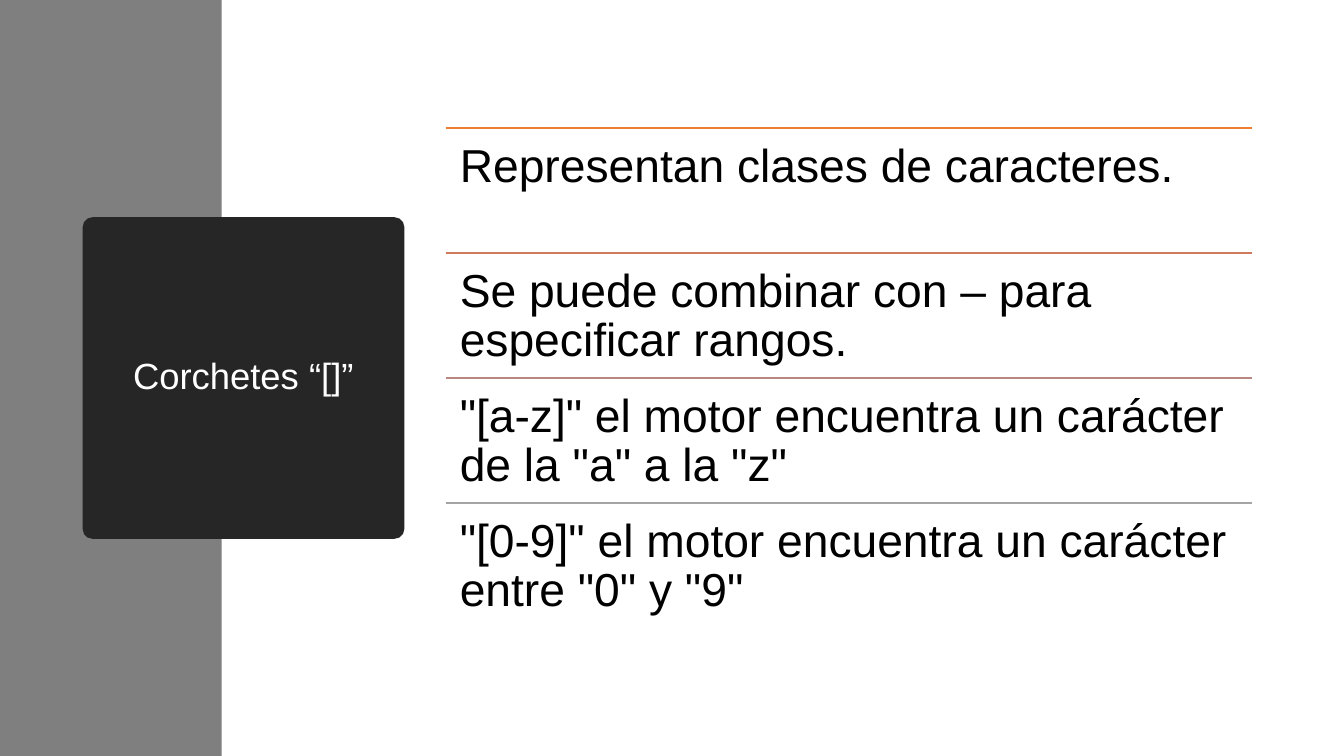
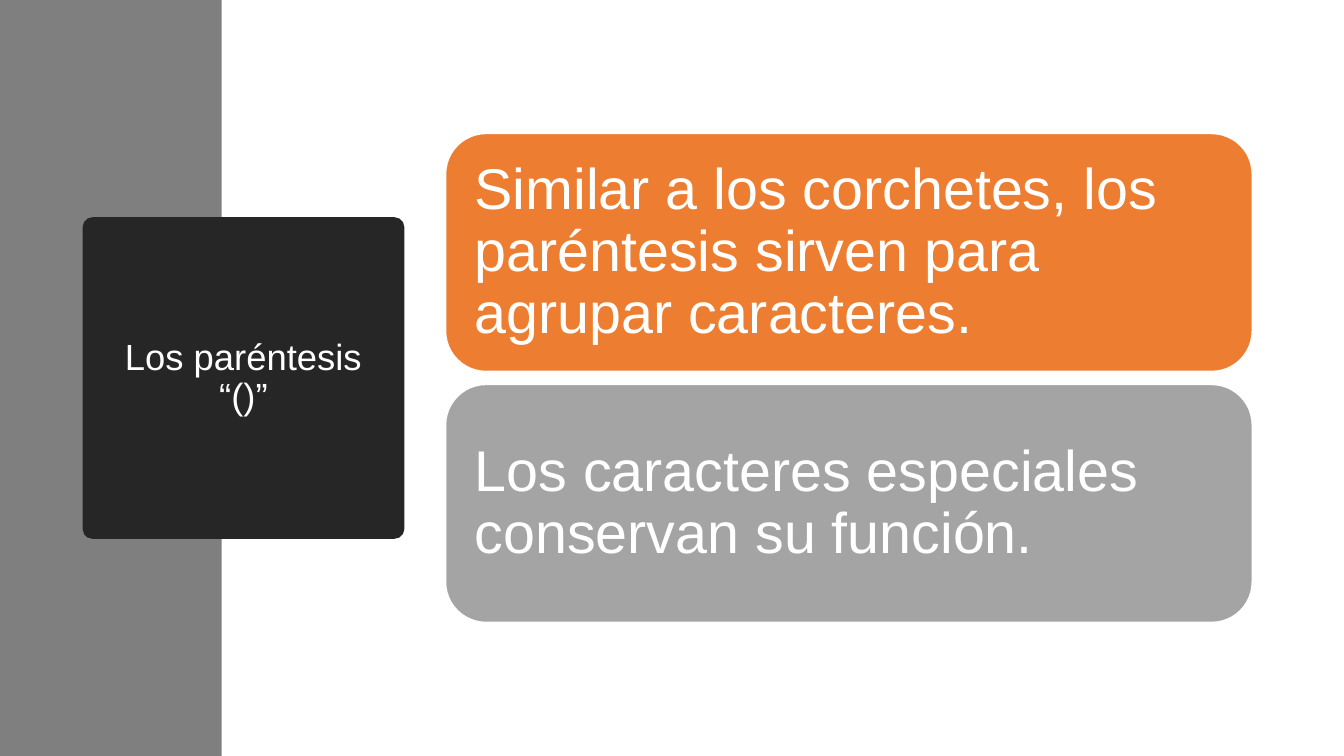
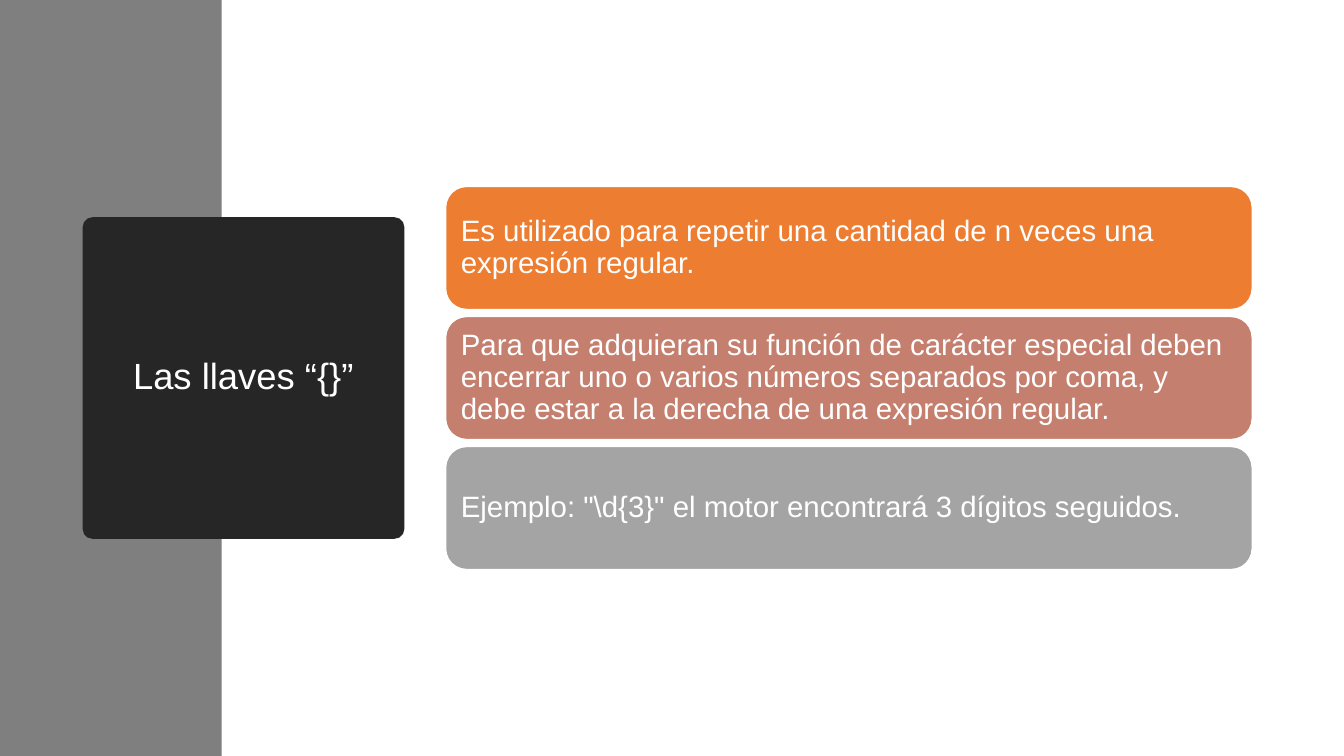
from lxml import etree
from pptx import Presentation
from pptx import util as u
from pptx.dml.color import RGBColor
from pptx.enum import shapes, text
from pptx.oxml.ns import qn

ORANGE, CLAY, ROSE, GRAY = "ED7D31", "D07A5B", "B88881", "A4A4A4"
TERRACOTTA, WHITE, BLACK = "C47F6E", "FFFFFF", "000000"
BAND, PLAQUE = "7F7F7F", "262626"


def rgb(value):
    return RGBColor.from_string(value)


class Deck:
    FONT = "Arial"
    WIDTH, HEIGHT = 13.33, 7.5
    LEFT, CONTENT = 4.42, 8
    MIDDLE = HEIGHT / 2

    def __init__(self):
        self.prs = Presentation()
        self.prs.slide_width = u.Inches(self.WIDTH)
        self.prs.slide_height = u.Inches(self.HEIGHT)
        self.slide = None

    def new_slide(self, title):
        """Start a slide with the side band and the title plaque."""
        self.slide = self.prs.slides.add_slide(self.prs.slide_layouts[6])
        self.block(shapes.MSO_SHAPE.RECTANGLE, 0, 0, 2.2, self.HEIGHT, BAND)
        side = 3.19
        plaque = self.block(shapes.MSO_SHAPE.ROUNDED_RECTANGLE, 0.82,
                            self.MIDDLE - side / 2, side, side, PLAQUE)
        plaque.adjustments[0] = 0.03
        self.set_text(plaque, title, 26, WHITE, 0.17, text.MSO_ANCHOR.MIDDLE,
                      text.PP_ALIGN.CENTER)

    def block(self, kind, left, top, width, height, fill, line=None):
        shape = self.slide.shapes.add_shape(
            kind, *map(u.Inches, (left, top, width, height)))
        shape.shadow.inherit = False
        shape.fill.solid()
        shape.fill.fore_color.rgb = rgb(fill)
        if line:
            shape.line.color.rgb = rgb(line)
            shape.line.width = u.Pt(1)
        else:
            shape.line.fill.background()
        return shape

    def set_text(self, shape, words, size, color, inset, anchor,
                 align=text.PP_ALIGN.LEFT):
        frame = shape.text_frame
        frame.word_wrap = True
        frame.vertical_anchor = anchor
        frame.margin_left = frame.margin_right = u.Inches(inset)
        frame.margin_top = frame.margin_bottom = u.Inches(inset)
        paragraph = frame.paragraphs[0]
        paragraph.alignment = align
        paragraph.line_spacing = 0.9
        run = paragraph.add_run()
        run.text = words
        run.font.name = self.FONT
        run.font.size = u.Pt(size)
        run.font.color.rgb = rgb(color)

    def rule(self, top, color):
        line = self.slide.shapes.add_connector(
            shapes.MSO_CONNECTOR.STRAIGHT, u.Inches(self.LEFT), u.Inches(top),
            u.Inches(self.LEFT + self.CONTENT), u.Inches(top))
        line.line.color.rgb = rgb(color)
        line.line.width = u.Pt(1)
        etree.SubElement(line._element.spPr, qn("a:effectLst"))

    def ruled_list(self, items, row, size):
        """Stack rows, each under its coloured rule, centred on the slide."""
        first = self.MIDDLE - row * len(items) / 2
        for i, (words, color) in enumerate(items):
            top = first + i * row
            self.rule(top, color)
            entry = self.slide.shapes.add_textbox(
                *map(u.Inches, (self.LEFT, top, self.CONTENT, row)))
            self.set_text(entry, words, size, BLACK, 0.14, text.MSO_ANCHOR.TOP)

    def cards(self, items, height, gap, size, inset):
        """Stack rounded cards, centred on the slide."""
        first = self.MIDDLE - (len(items) * (height + gap) - gap) / 2
        for i, (words, color) in enumerate(items):
            card = self.block(shapes.MSO_SHAPE.ROUNDED_RECTANGLE, self.LEFT,
                              first + i * (height + gap), self.CONTENT, height,
                              color, WHITE)
            card.adjustments[0] = 0.17
            self.set_text(card, words, size, WHITE, inset,
                          text.MSO_ANCHOR.MIDDLE)


def main():
    deck = Deck()

    deck.new_slide("Corchetes “[]”")
    deck.ruled_list([
        ("Representan clases de caracteres.", ORANGE),
        ("Se puede combinar con – para especificar rangos.", CLAY),
        ('"[a-z]" el motor encuentra un carácter de la "a" a la "z"', ROSE),
        ('"[0-9]" el motor encuentra un carácter entre "0" y "9"', GRAY),
    ], row=1.24, size=33)

    deck.new_slide("Los paréntesis “()”")
    deck.cards([
        ("Similar a los corchetes, los paréntesis sirven para agrupar "
         "caracteres.", ORANGE),
        ("Los caracteres especiales conservan su función.", GRAY),
    ], height=2.36, gap=0.13, size=41, inset=0.17)

    deck.new_slide("Las llaves “{}”")
    deck.cards([
        ("Es utilizado para repetir una cantidad de n veces una expresión "
         "regular.", ORANGE),
        ("Para que adquieran su función de carácter especial deben encerrar "
         "uno o varios números separados por coma, y debe estar a la derecha "
         "de una expresión regular.", TERRACOTTA),
        ('Ejemplo: "\\d{3}" el motor encontrará 3 dígitos seguidos.', GRAY),
    ], height=1.22, gap=0.07, size=21, inset=0.09)

    deck.prs.save("out.pptx")


if __name__ == "__main__":
    main()
